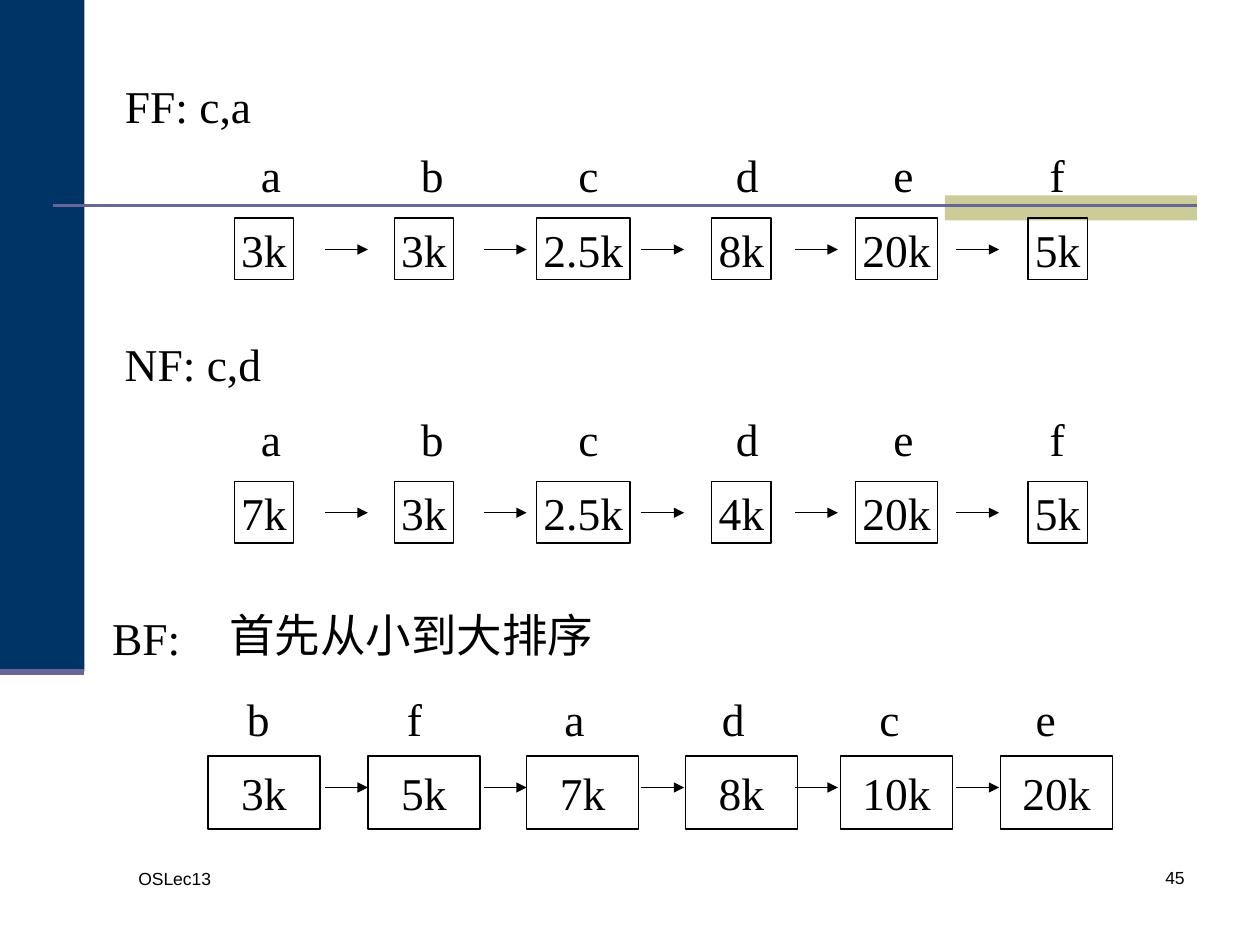
from lxml import etree
from pptx import Presentation
from pptx import util as u
from pptx.dml.color import RGBColor
from pptx.enum import shapes, text
from pptx.oxml.ns import qn

NAVY = RGBColor(0x00, 0x33, 0x66)
KHAKI = RGBColor(0xCC, 0xCC, 0x99)
VIOLET = RGBColor(0x66, 0x66, 0x99)
BLACK = RGBColor(0x00, 0x00, 0x00)

ARROW_LEFTS = [2.58, 3.84, 5.09, 6.31, 7.59]
ARROW_LENGTH = 0.34
LABEL_LEFTS = [2.02, 3.29, 4.54, 5.79, 7.04, 8.28]
FIT_BOXES = [(1.86, 0.47), (3.13, 0.47), (4.26, 0.74),
             (5.65, 0.47), (6.79, 0.65), (8.16, 0.47)]
SORTED_BOXES = [(left, 0.89) for left in (1.65, 2.92, 4.18, 5.44, 6.67, 7.94)]
SORTED_LABEL_SHIFT = -0.11


def write(shape, words, size=26, font="Times New Roman",
          align=text.PP_ALIGN.LEFT, anchor=text.MSO_ANCHOR.MIDDLE,
          margins=(0.05, 0.03), wrap=False):
    frame = shape.text_frame
    frame.text = words
    frame.word_wrap = wrap
    frame.vertical_anchor = anchor
    frame.margin_left = frame.margin_right = u.Inches(margins[0])
    frame.margin_top = frame.margin_bottom = u.Inches(margins[1])
    para = frame.paragraphs[0]
    para.alignment = align
    span = para.runs[0]
    span.font.size = u.Pt(size)
    span.font.name = font
    span.font.color.rgb = BLACK


def add_text(page, words, left, top, width, height, **style):
    box = page.shapes.add_textbox(*map(u.Inches, (left, top, width, height)))
    write(box, words, **style)


def add_rect(page, left, top, width, height):
    rect = page.shapes.add_shape(shapes.MSO_SHAPE.RECTANGLE,
                                 *map(u.Inches, (left, top, width, height)))
    rect.shadow.inherit = False
    return rect


def add_panel(page, color, *place):
    panel = add_rect(page, *place)
    panel.fill.solid()
    panel.fill.fore_color.rgb = color
    panel.line.fill.background()


def add_block(page, words, *place):
    block = add_rect(page, *place)
    block.fill.background()
    block.line.color.rgb = BLACK
    block.line.width = u.Pt(0.75)
    write(block, words, align=text.PP_ALIGN.CENTER)


def add_line(page, left, right, y, color, width):
    line = page.shapes.add_connector(shapes.MSO_CONNECTOR.STRAIGHT,
                                     *map(u.Inches, (left, y, right, y)))
    line.line.color.rgb = color
    line.line.width = u.Pt(width)
    etree.SubElement(line._element.spPr, qn("a:effectLst"))
    return line


def add_arrow(page, left, y):
    arrow = add_line(page, left, left + ARROW_LENGTH, y, BLACK, 0.75)
    etree.SubElement(arrow.line._get_or_add_ln(), qn("a:tailEnd"), type="triangle")


def add_chain(page, top, names, sizes, boxes, height, label_shift=0):
    """One free list: labelled blocks joined by arrows; top is that of the blocks."""
    for (left, width), size in zip(boxes, sizes):
        add_block(page, size, left, top, width, height)
    for left in ARROW_LEFTS:
        add_arrow(page, left, top + 0.25)
    for left, name in zip(LABEL_LEFTS, names):
        add_text(page, name, left + label_shift, top - 0.59, 0.3, height)


def add_decoration(page):
    add_panel(page, NAVY, 0, 0, 0.67, 5.33)
    add_panel(page, KHAKI, 7.5, 1.55, 2, 0.2)
    add_line(page, 0.42, 9.5, 1.63, VIOLET, 1.5)
    add_line(page, 0, 0.67, 5.33, VIOLET, 3.5)


def add_footer(page):
    style = dict(size=10, font="Arial", anchor=text.MSO_ANCHOR.TOP,
                 margins=(0.1, 0.05), wrap=True)
    add_text(page, "OSLec13", 1, 6.84, 2.17, 0.5, **style)
    add_text(page, "45", 7.42, 6.83, 2.08, 0.5,
             align=text.PP_ALIGN.RIGHT, **style)


def main():
    deck = Presentation()
    deck.slide_width, deck.slide_height = u.Inches(10), u.Inches(7.5)
    page = deck.slides.add_slide(deck.slide_layouts[6])
    add_decoration(page)
    add_footer(page)

    # First fit
    add_text(page, "FF: c,a", 0.94, 0.59, 1.11, 0.49)
    add_chain(page, 1.73, "abcdef", ["3k", "3k", "2.5k", "8k", "20k", "5k"],
              FIT_BOXES, 0.49)

    # Next fit
    add_text(page, "NF: c,d", 0.94, 2.64, 1.2, 0.49)
    add_chain(page, 3.82, "abcdef", ["7k", "3k", "2.5k", "4k", "20k", "5k"],
              FIT_BOXES, 0.49)

    # Best fit, sorted by size
    add_text(page, "BF:", 0.84, 4.77, 0.72, 0.57)
    add_text(page, "首先从小到大排序", 1.77, 4.75, 3.06, 0.57)
    add_chain(page, 6, "bfadce", ["3k", "5k", "7k", "8k", "10k", "20k"],
              SORTED_BOXES, 0.58, SORTED_LABEL_SHIFT)

    deck.save("out.pptx")


if __name__ == "__main__":
    main()
